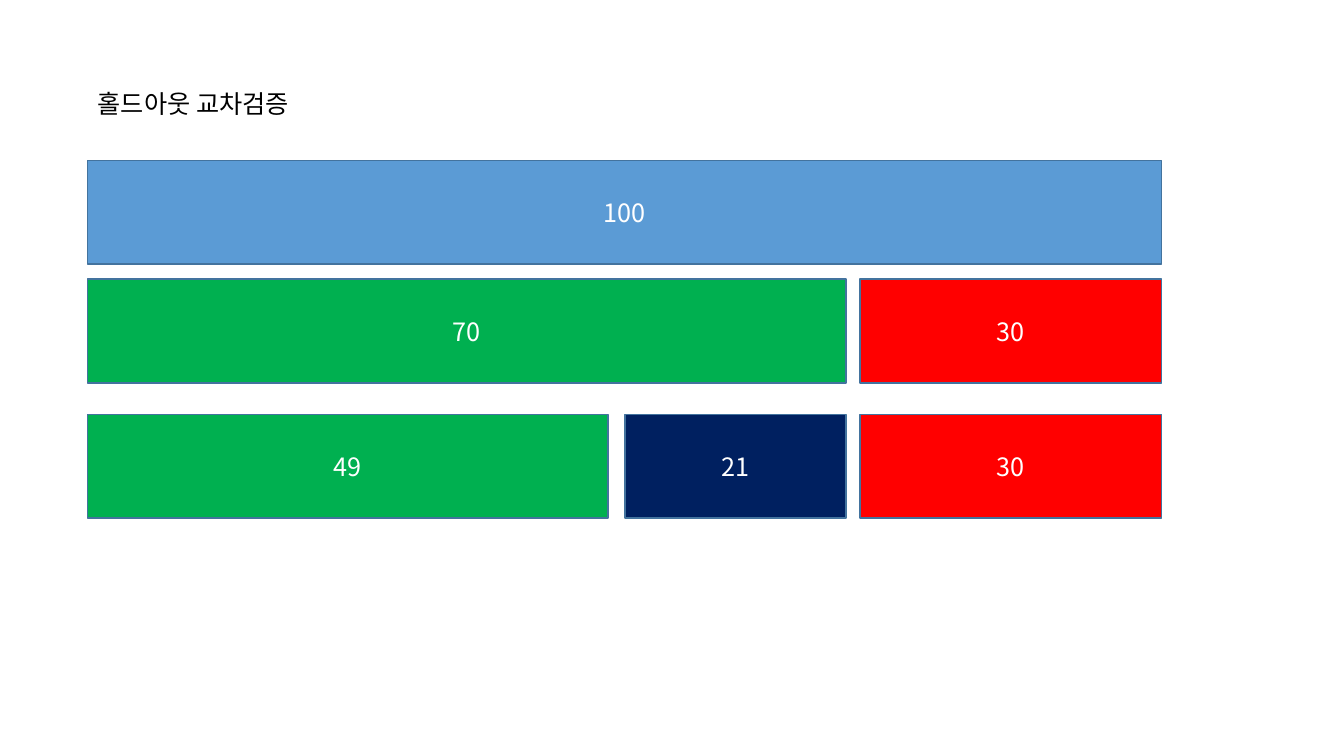
"""Build a slide showing how hold-out cross-validation splits a data set."""
from lxml import etree
from pptx import Presentation
from pptx import util as u
from pptx.dml.color import RGBColor
from pptx.enum import shapes, text
from pptx.oxml.ns import qn

FONT = "Noto Sans CJK KR"
LEFT, TRAIN_END, VALID_START, VALID_END, TEST_START, RIGHT = 0.87, 6.03, 6.2, 8.39, 8.53, 11.52
BAR_HEIGHT = 1.03
GREEN, RED = "00B050", "FF0000"


def color(hex_value):
    return RGBColor.from_string(hex_value)


def write(frame, wording, hex_value, alignment):
    paragraph = frame.paragraphs[0]
    paragraph.alignment = alignment
    run = paragraph.add_run()
    run.text = wording
    for name, value in {"size": u.Pt(18), "name": FONT}.items():
        setattr(run.font, name, value)
    run.font.color.rgb = color(hex_value)
    etree.SubElement(run.font._element, qn("a:ea"), typeface=FONT)


deck = Presentation()
deck.slide_width, deck.slide_height = u.Inches(13.33), u.Inches(7.5)
slide = deck.slides.add_slide(deck.slide_layouts[6])

test_part = (TEST_START, RIGHT, "30", RED)
splits = {
    1.59: [(LEFT, RIGHT, "100", "5B9BD5")],
    2.77: [(LEFT, VALID_END, "70", GREEN), test_part],
    4.11: [(LEFT, TRAIN_END, "49", GREEN), (VALID_START, VALID_END, "21", "002060"), test_part],
}
for top, parts in splits.items():
    for start, end, share, fill in parts:
        bar = slide.shapes.add_shape(
            shapes.MSO_SHAPE.RECTANGLE,
            u.Inches(start), u.Inches(top), u.Inches(end - start), u.Inches(BAR_HEIGHT))
        bar.shadow.inherit = False
        bar.fill.solid()
        bar.fill.fore_color.rgb = color(fill)
        bar.line.color.rgb = color("43739E")
        bar.line.width = u.Pt(1)
        bar.text_frame.vertical_anchor = text.MSO_ANCHOR.MIDDLE
        write(bar.text_frame, share, "FFFFFF", text.PP_ALIGN.CENTER)

heading = slide.shapes.add_textbox(u.Inches(LEFT), u.Inches(0.83), u.Inches(2.31), u.Inches(0.4))
for name, value in {"word_wrap": False, "auto_size": text.MSO_AUTO_SIZE.SHAPE_TO_FIT_TEXT}.items():
    setattr(heading.text_frame, name, value)
write(heading.text_frame, "홀드아웃 교차검증", "000000", text.PP_ALIGN.LEFT)

deck.save("out.pptx")
